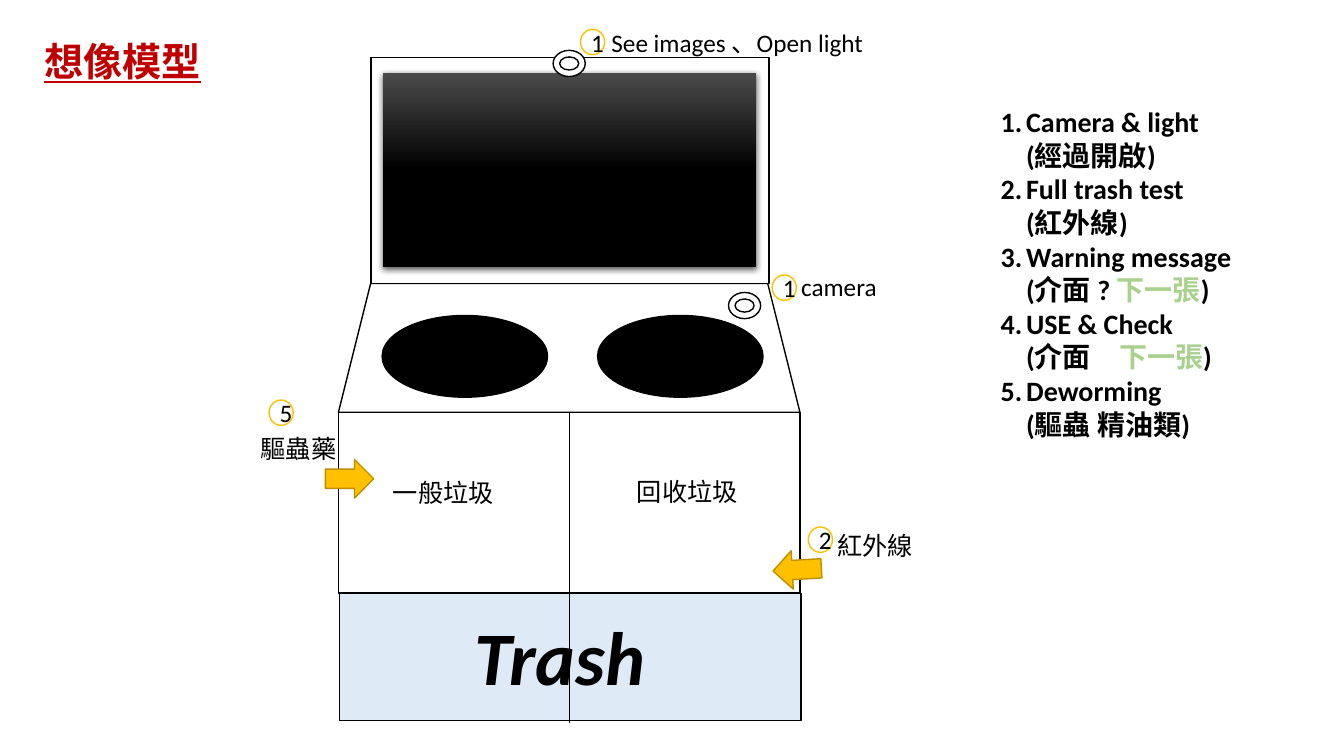
"""Build the slide of the imagined trash station model."""
from lxml import etree
from pptx import Presentation
from pptx.dml.color import RGBColor
from pptx.enum.shapes import MSO_CONNECTOR, MSO_SHAPE
from pptx.enum.text import MSO_ANCHOR, PP_ALIGN
from pptx.oxml import parse_xml
from pptx.oxml.ns import qn
from pptx.util import Cm, Pt

RECT, TRAP = MSO_SHAPE.RECTANGLE, MSO_SHAPE.TRAPEZOID
OVAL, RING = MSO_SHAPE.OVAL, MSO_SHAPE.DONUT
ARROW, LINE = MSO_SHAPE.RIGHT_ARROW, MSO_CONNECTOR.STRAIGHT
MIDDLE, CENTER = MSO_ANCHOR.MIDDLE, PP_ALIGN.CENTER

BLACK = RGBColor(0, 0, 0)
WHITE = RGBColor(255, 255, 255)
GRAY = RGBColor(0x4B, 0x4B, 0x4B)
RED = RGBColor(0xC0, 0, 0)
GREEN = RGBColor(0xA9, 0xD1, 0x8E)
BLUE = RGBColor(0xDE, 0xEB, 0xF7)
GOLD = RGBColor(0xFF, 0xC0, 0)
BROWN = RGBColor(0xBD, 0x8E, 0)
FONT = "Calibri"

TITLE = "想像模型"
STEPS = [
    ("Camera & light", "(經過開啟)", "", ""),
    ("Full trash test", "(紅外線)", "", ""),
    ("Warning message", "(介面 ? ", "下一張", ")"),
    ("USE & Check", "(介面\u3000", "下一張", ")"),
    ("Deworming", "(驅蟲 精油類)", "", ""),
]
LABELS = [
    ("一般垃圾", 9.65, 11.91, 4.57),
    ("回收垃圾", 15.8, 11.89, 4.57),
    ("camera", 19.94, 6.71, 2.44),
    ("See images 、Open light", 15.16, 0.56, 6.93),
    ("紅外線", 20.85, 13.23, 2.44),
    ("驅蟲藥", 6.32, 10.8, 2.44),
]
BADGES = [("1", 14.63, 0.74), ("2", 20.37, 13.28),
          ("5", 6.78, 10.08), ("1", 19.46, 6.93)]
FRAME = [
    (RECT, 8.53, 10.39, 11.63, 4.55, WHITE),
    (TRAP, 8.53, 7.14, 11.63, 3.25, WHITE),
    (RECT, 9.35, 1.45, 10.03, 5.69, WHITE),
    (RECT, 8.56, 14.96, 11.63, 3.2, BLUE),
]
SCREEN = (9.65, 1.83, 9.4, 4.9)
LENSES = [(13.94, 1.27), (18.36, 7.37)]
BURNERS = [(9.63, 7.95), (15.06, 7.95)]
ARROWS = [(8.2, 11.58, 0), (19.48, 13.87, 176.8)]
SPLIT = 14.35
SPANS = [(10.39, 14.96), (14.91, 18.21)]
SHADE = (
    '<a:effectLst xmlns:a="http://schemas.openxmlformats.org/drawingml/2006/main">'
    '<a:outerShdw blurRad="57150" dist="19050" dir="5400000" algn="ctr" rotWithShape="0">'
    '<a:srgbClr val="000000"><a:alpha val="63000"/></a:srgbClr>'
    '</a:outerShdw></a:effectLst>'
)


def style(par, size, color=BLACK, bold=False, slant=False, under=False):
    font = par.font
    font.name, font.size, font.color.rgb = FONT, Pt(size), color
    font.bold, font.italic, font.underline = bold, slant, under


def shape(kind, x, y, w, h, fill=WHITE, edge=BLACK):
    item = slide.shapes.add_shape(kind, Cm(x), Cm(y), Cm(w), Cm(h))
    item.shadow.inherit = False
    item.fill.solid()
    item.fill.fore_color.rgb = fill
    item.line.color.rgb = edge
    item.line.width = Pt(1)
    return item


def box(x, y, w, h):
    frame = slide.shapes.add_textbox(Cm(x), Cm(y), Cm(w), Cm(h)).text_frame
    frame.word_wrap = True
    return frame


def label(text, x, y, w, h=1.02, size=18, **look):
    par = box(x, y, w, h).paragraphs[0]
    par.text = text
    style(par, size, **look)


def screen():
    item = shape(RECT, *SCREEN)
    item.line.fill.background()
    item.fill.gradient()
    item.fill.gradient_angle = 270
    for stop, place, color in zip(item.fill.gradient_stops, (0, 0.5), (GRAY, BLACK)):
        stop.position, stop.color.rgb = place, color
    props = item.element.spPr
    props.replace(props.find(qn("a:effectLst")), parse_xml(SHADE))


def divide(top, end):
    rule = slide.shapes.add_connector(LINE, Cm(SPLIT), Cm(top), Cm(SPLIT), Cm(end))
    rule.line.color.rgb = BLACK
    rule.line.width = Pt(0.5)
    etree.SubElement(rule.element.spPr, qn("a:effectLst"))


def badge(text, x, y):
    item = shape(OVAL, x, y, 0.61, 0.64, edge=GOLD)
    item.text_frame.vertical_anchor = MIDDLE
    par = item.text_frame.paragraphs[0]
    par.text, par.alignment = text, CENTER
    style(par, 18)


def steps():
    frame = box(24.97, 2.51, 7.2, 8.81)
    for i, (head, note, link, tail) in enumerate(STEPS):
        par = frame.paragraphs[0] if i == 0 else frame.add_paragraph()
        style(par, 20, bold=True)
        props = par._p.get_or_add_pPr()
        props.set("marL", str(Cm(0.64)))
        props.set("indent", str(Cm(-0.64)))
        mark = etree.Element(qn("a:buAutoNum"), type="arabicPeriod")
        props.insert(0, mark)
        par.add_run().text = head
        par.add_line_break()
        par.add_run().text = note
        if link:
            run = par.add_run()
            run.text, run.font.color.rgb = link, GREEN
            par.add_run().text = tail


deck = Presentation()
deck.slide_width, deck.slide_height = Cm(33.87), Cm(19.05)
slide = deck.slides.add_slide(deck.slide_layouts[6])

steps()
for part in FRAME:
    shape(*part)
screen()
for x, y in LENSES:
    shape(RING, x, y, 0.81, 0.66)
for span in SPANS:
    divide(*span)
for x, y in BURNERS:
    shape(OVAL, x, y, 4.17, 2.06, BLACK)
for row in BADGES:
    badge(*row)
for row in LABELS:
    label(*row)
label("Trash", 11.71, 15.24, 7.34, 2.57, 54, bold=True, slant=True)
for x, y, turn in ARROWS:
    shape(ARROW, x, y, 1.22, 0.97, GOLD, BROWN).rotation = turn
label(TITLE, 0.86, 0.81, 4.5, 1.45, 28, color=RED, bold=True, under=True)

deck.save("out.pptx")
